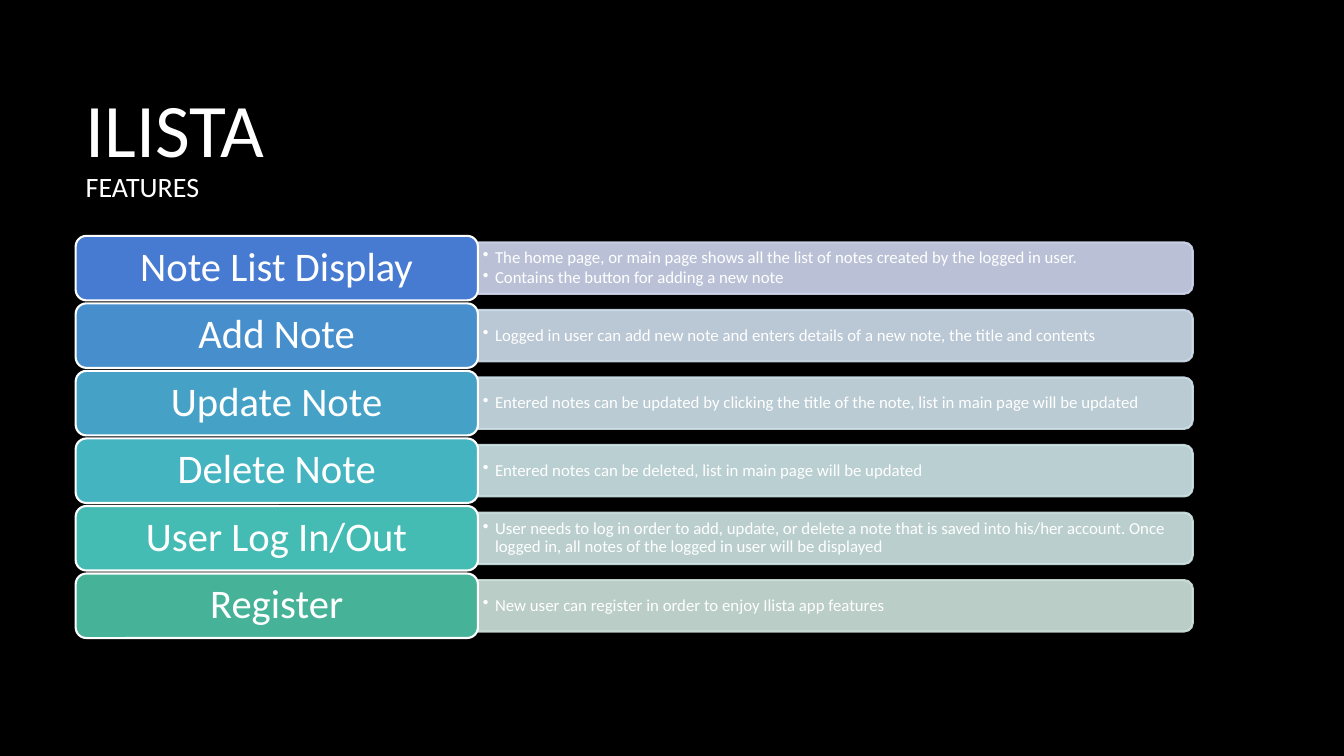
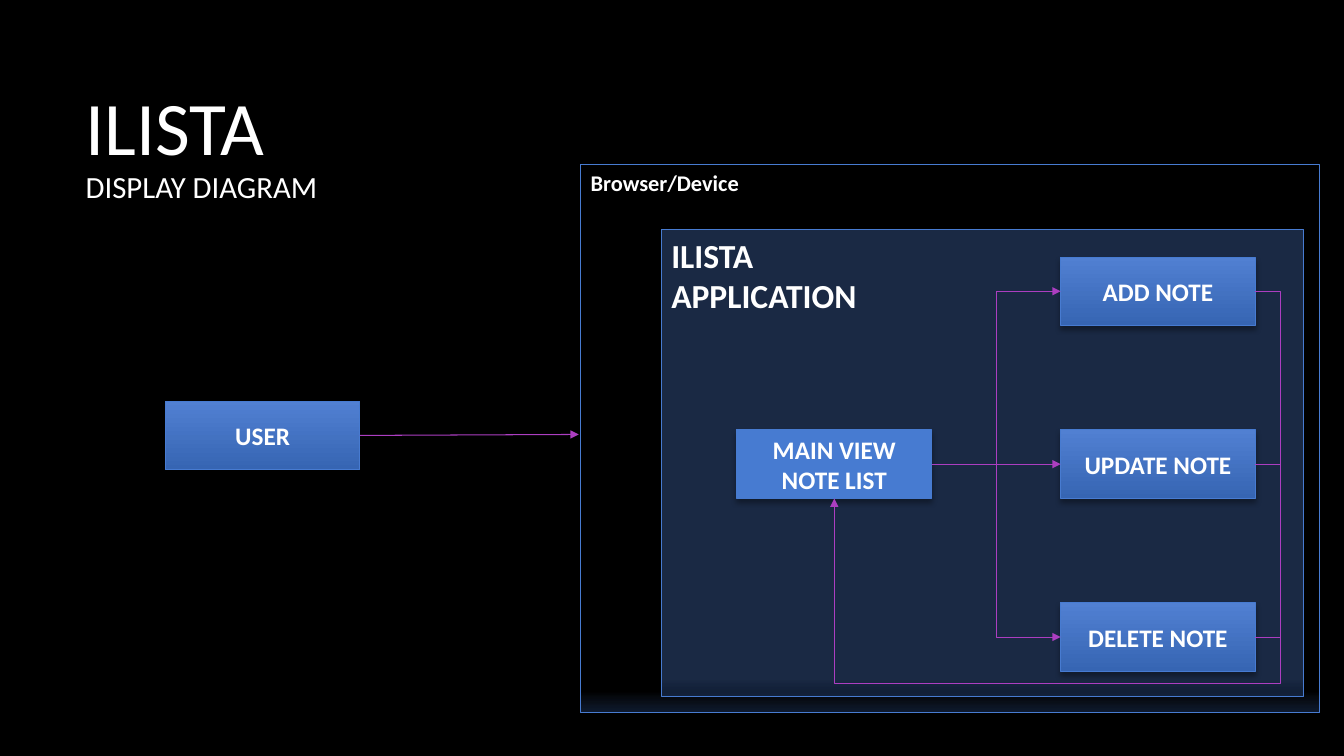
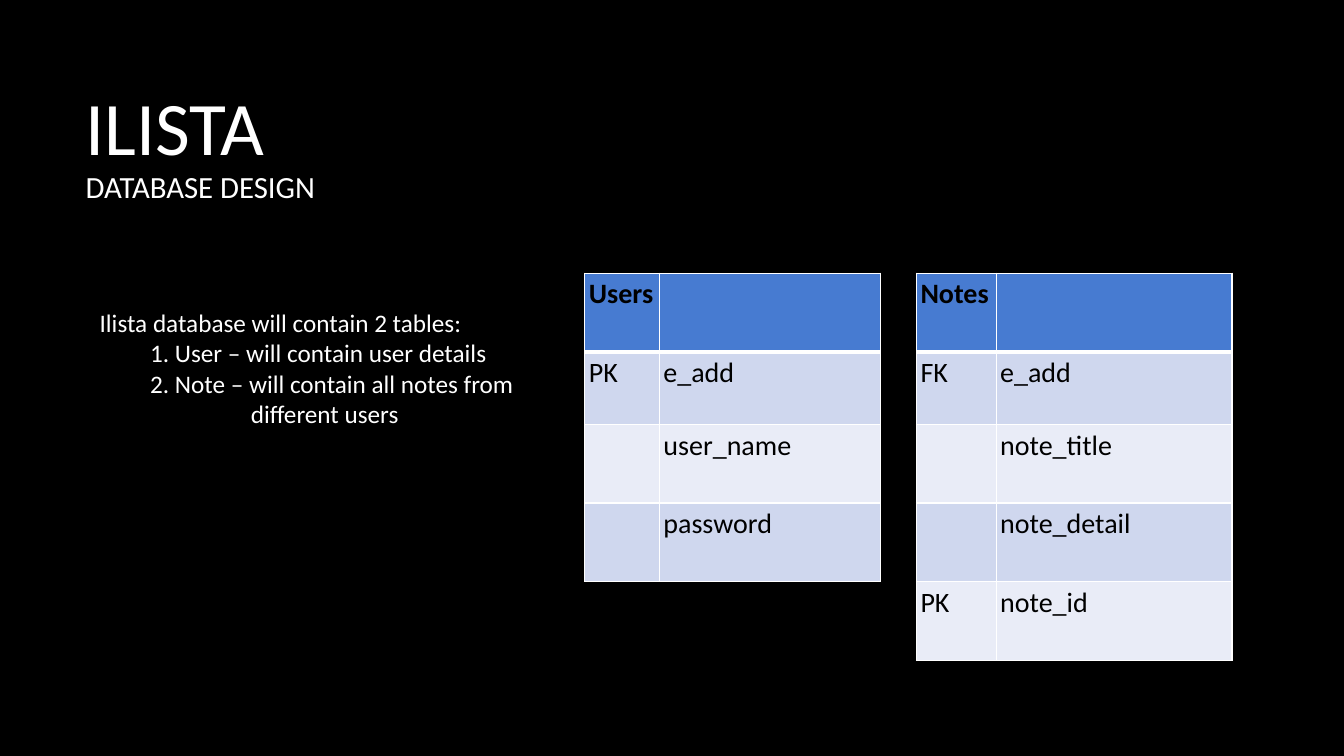
from pptx import Presentation
from pptx.dml.color import RGBColor
from pptx.enum.shapes import MSO_CONNECTOR as LINK, MSO_SHAPE as SHAPE
from pptx.enum.text import MSO_ANCHOR as ANCHOR, PP_ALIGN as ALIGN
from pptx.oxml.ns import qn
from pptx.util import Inches, Pt
from lxml.etree import SubElement

COLORS = {
    "black": "000000",
    "white": "FFFFFF",
    "blue": "477BD1",
    "light_blue": "5180D2",
    "dark_blue": "3665B3",
    "purple": "AC3EC1",
    "band_dark": "CFD7EE",
    "band_light": "E9ECF7",
}
FONT = "Calibri"
TITLE_LEFT, TITLE_TOP, TITLE_WIDTH, TITLE_HEIGHT = 0.75, 0.67, 11.08, 1.59
TOP, LEFT, BOTTOM, RIGHT = range(4)

FEATURES = [
    ("Note List Display", "477BD1", "CFD7EE",
     ["The home page, or main page shows all the list of notes created by the logged in user.",
      "Contains the button for adding a new note"]),
    ("Add Note", "468FCC", "CFDDEC",
     ["Logged in user can add new note and enters details of a new note, the title and contents"]),
    ("Update Note", "45A2C6", "CFE2EA",
     ["Entered notes can be updated by clicking the title of the note, list in main page will be updated"]),
    ("Delete Note", "44B4C1", "CFE6E8",
     ["Entered notes can be deleted, list in main page will be updated"]),
    ("User Log In/Out", "44BBB3", "CFE6E4",
     ["User needs to log in order to add, update, or delete a note that is saved into his/her account. "
      "Once logged in, all notes of the logged in user will be displayed"]),
    ("Register", "46B298", "CFE4DD",
     ["New user can register in order to enjoy Ilista app features"]),
]
USERS = [("Users", ""), ("PK", "e_add"), ("", "user_name"), ("", "password")]
NOTES = [("Notes", ""), ("FK", "e_add"), ("", "note_title"), ("", "note_detail"), ("PK", "note_id")]
DATABASE_TEXT = [
    ("Ilista database will contain 2 tables:", 0),
    ("1. User – will contain user details", 0.5),
    ("2. Note – will contain all notes from", 0.5),
    ("different users", 1.5),
]


def rgb(color):
    return RGBColor.from_string(COLORS.get(color, color))


def frame(left, top, width, height):
    return [Inches(value) for value in (left, top, width, height)]


def style_span(span, size, color="white", bold=False):
    span.font.name = FONT
    span.font.size = Pt(size)
    span.font.bold = bold
    span.font.color.rgb = rgb(color)


def write(holder, text, size, color="white", bold=False, align=ALIGN.LEFT,
          anchor=ANCHOR.TOP, spacing=1.0):
    body = holder.text_frame
    body.word_wrap = True
    body.vertical_anchor = anchor
    body.text = text
    for para in body.paragraphs:
        para.alignment = align
        para.line_spacing = spacing
        for span in para.runs:
            style_span(span, size, color, bold)
    return body


def set_insets(body, side, upright):
    body.margin_left = body.margin_right = Inches(side)
    body.margin_top = body.margin_bottom = Inches(upright)


def set_alpha(element, percents):
    for color, percent in zip(element.iter(qn("a:srgbClr")), percents):
        SubElement(color, qn("a:alpha"), val=str(percent * 1000))


def indent(para, left, first=0):
    properties = para._p.get_or_add_pPr()
    properties.set("marL", str(Inches(left)))
    properties.set("indent", str(Inches(first)))
    return properties


def add_page(deck, subtitle, subtitle_size):
    page = deck.slides.add_slide(deck.slide_layouts[5])
    page.background.fill.solid()
    page.background.fill.fore_color.rgb = rgb("black")
    title = page.shapes.title
    title.left, title.top, title.width, title.height = frame(
        TITLE_LEFT, TITLE_TOP, TITLE_WIDTH, TITLE_HEIGHT)
    body = write(title, "ILISTA\v" + subtitle, 54, anchor=ANCHOR.MIDDLE, spacing=0.9)
    body.paragraphs[0].runs[1].font.size = Pt(subtitle_size)
    return page


def add_block(page, kind, place, fill, line, width):
    block = page.shapes.add_shape(kind, *frame(*place))
    block.shadow.inherit = False
    block.fill.solid()
    block.fill.fore_color.rgb = rgb(fill)
    block.line.color.rgb = rgb(line)
    block.line.width = Pt(width)
    return block


def add_feature(page, top, label, label_color, bar_color, points):
    label_width, label_height = 3.99, 0.64
    bar_left, bar_width, bar_height = TITLE_LEFT + label_width, 7.09, 0.51
    middle = top + label_height / 2
    bar = add_block(page, SHAPE.ROUND_2_SAME_RECTANGLE,
                    (bar_left + (bar_width - bar_height) / 2, middle - bar_width / 2,
                     bar_height, bar_width), bar_color, bar_color, 1.5)
    bar.rotation = 90
    set_alpha(bar.element.spPr, (90, 90))

    box = page.shapes.add_textbox(*frame(bar_left, middle - 0.23, 7.07, 0.46))
    body = write(box, "\n".join(points), 12, anchor=ANCHOR.MIDDLE, spacing=0.9)
    set_insets(body, 0.05, 0.03)
    for para in body.paragraphs:
        para.space_after = Pt(1.8)
        SubElement(indent(para, 0.12, -0.12), qn("a:buChar"), char="•")

    tag = add_block(page, SHAPE.ROUNDED_RECTANGLE,
                    (TITLE_LEFT, top, label_width, label_height), label_color, "white", 1.5)
    set_insets(write(tag, label, 29, align=ALIGN.CENTER, anchor=ANCHOR.MIDDLE, spacing=0.9),
               0.15, 0.06)


def fill_gradient(block, positions, alphas=()):
    block.fill.gradient()
    block.fill.gradient_angle = 270
    for stop, position, color in zip(block.fill.gradient_stops, positions,
                                     ("light_blue", "dark_blue")):
        stop.position = position
        stop.color.rgb = rgb(color)
    set_alpha(block.element.spPr, alphas)


def add_panel(page, place, text, size, alphas):
    panel = add_block(page, SHAPE.FLOWCHART_PROCESS, place, "blue", "blue", 0.75)
    fill_gradient(panel, (0.96, 1), alphas)
    write(panel, text, size, bold=True)


def add_node(page, left, top, text, shaded=True):
    node = add_block(page, SHAPE.FLOWCHART_PROCESS, (left, top, 1.93, 0.68), "blue", "blue", 0.75)
    if shaded:
        fill_gradient(node, (0, 1))
    effects = node.element.spPr.find(qn("a:effectLst"))
    shadow = SubElement(effects, qn("a:outerShdw"), blurRad=str(Pt(4)), dist=str(Pt(3)),
                        dir="5400000", rotWithShape="0")
    SubElement(shadow, qn("a:srgbClr"), val=COLORS["black"])
    set_alpha(shadow, (35,))
    write(node, text, 18, bold=True, align=ALIGN.CENTER, anchor=ANCHOR.MIDDLE)
    return node


def add_link(page, start, end, kind=LINK.STRAIGHT, end_side=LEFT, preset=None,
             adjust=(), arrow=True):
    joined = not isinstance(end, tuple)
    x, y = (0, 0) if joined else (Inches(value) for value in end)
    link = page.shapes.add_connector(kind, start.left + start.width,
                                     start.top + start.height // 2, x, y)
    link.begin_connect(start, RIGHT)
    if joined:
        link.end_connect(end, end_side)
    link.line.color.rgb = rgb("purple")
    link.line.width = Pt(0.75)
    properties = link.element.spPr
    if arrow:
        SubElement(properties.find(qn("a:ln")), qn("a:tailEnd"), type="triangle")
    SubElement(properties, qn("a:effectLst"))
    geometry = properties.find(qn("a:prstGeom"))
    if preset:
        geometry.set("prst", preset)
    for number, value in enumerate(adjust, 1):
        SubElement(geometry.find(qn("a:avLst")), qn("a:gd"), name=f"adj{number}",
                   fmla=f"val {value}")


def set_border(cell, edge, width):
    line = SubElement(cell._tc.get_or_add_tcPr(), qn(f"a:ln{edge}"), w=str(Pt(width)))
    fill = SubElement(line, qn("a:solidFill"))
    SubElement(fill, qn("a:srgbClr"), val=COLORS["white"])


def add_schema(page, left, widths, rows):
    heights = [0.72 if number == 1 else 0.78 for number in range(len(rows))]
    table = page.shapes.add_table(len(rows), len(widths),
                                  *frame(left, 2.71, sum(widths), sum(heights))).table
    for column, width in zip(table.columns, widths):
        column.width = Inches(width)
    for number, (values, height) in enumerate(zip(rows, heights)):
        table.rows[number].height = Inches(height)
        fill = "blue" if number == 0 else ("band_light", "band_dark")[number % 2]
        for cell, text in zip(table.rows[number].cells, values):
            write(cell, text, 20, "black", bold=number == 0, anchor=ANCHOR.MIDDLE)
            set_insets(cell, 0.04, 0.04)
            for edge, width in (("L", 1), ("R", 1), ("T", 3 if number == 1 else 1),
                                ("B", 3 if number == 0 else 1)):
                set_border(cell, edge, width)
            cell.fill.solid()
            cell.fill.fore_color.rgb = rgb(fill)


def build_features(deck):
    page = add_page(deck, "FEATURES", 20)
    for number, feature in enumerate(FEATURES):
        add_feature(page, 2.34 + number * 0.67, *feature)


def build_diagram(deck):
    page = add_page(deck, "DISPLAY DIAGRAM", 22)
    add_panel(page, (5.76, 1.63, 7.33, 5.44), "Browser/Device", 16, (0, 27))
    add_panel(page, (6.56, 2.28, 6.37, 4.63), "ILISTA\nAPPLICATION", 24, (32, 27))
    rows = [2.55 + number * 1.715 for number in range(3)]
    user = add_node(page, 1.64, 3.98, "USER")
    main_view = add_node(page, 7.31, rows[1], "MAIN VIEW\vNOTE LIST", shaded=False)
    add_note, update_note, delete_note = [
        add_node(page, 10.52, top, text)
        for top, text in zip(rows, ("ADD NOTE", "UPDATE NOTE", "DELETE NOTE"))]
    add_link(page, user, (5.74, 4.31))
    add_link(page, main_view, update_note)
    for node in (add_note, delete_note):
        add_link(page, main_view, node, LINK.ELBOW)
    add_link(page, delete_note, main_view, LINK.ELBOW, BOTTOM, "bentConnector4", (-6000, -33300))
    for node, bottom in ((update_note, 6.6), (add_note, 4.95)):
        add_link(page, node, (12.7, bottom), LINK.ELBOW, preset="bentConnector2", arrow=False)


def build_database(deck):
    page = add_page(deck, "DATABASE DESIGN", 22)
    add_schema(page, 5.8, (0.74, 2.19), USERS)
    add_schema(page, 9.09, (0.79, 2.34), NOTES)
    box = page.shapes.add_textbox(*frame(0.89, 3, 4.41, 1.62))
    body = write(box, "\n".join(text for text, _ in DATABASE_TEXT), 18)
    for para, (_, left) in zip(body.paragraphs, DATABASE_TEXT):
        indent(para, left)


def main():
    deck = Presentation()
    deck.slide_width, deck.slide_height = Inches(13.33), Inches(7.5)
    build_features(deck)
    build_diagram(deck)
    build_database(deck)
    deck.save("out.pptx")


if __name__ == "__main__":
    main()
